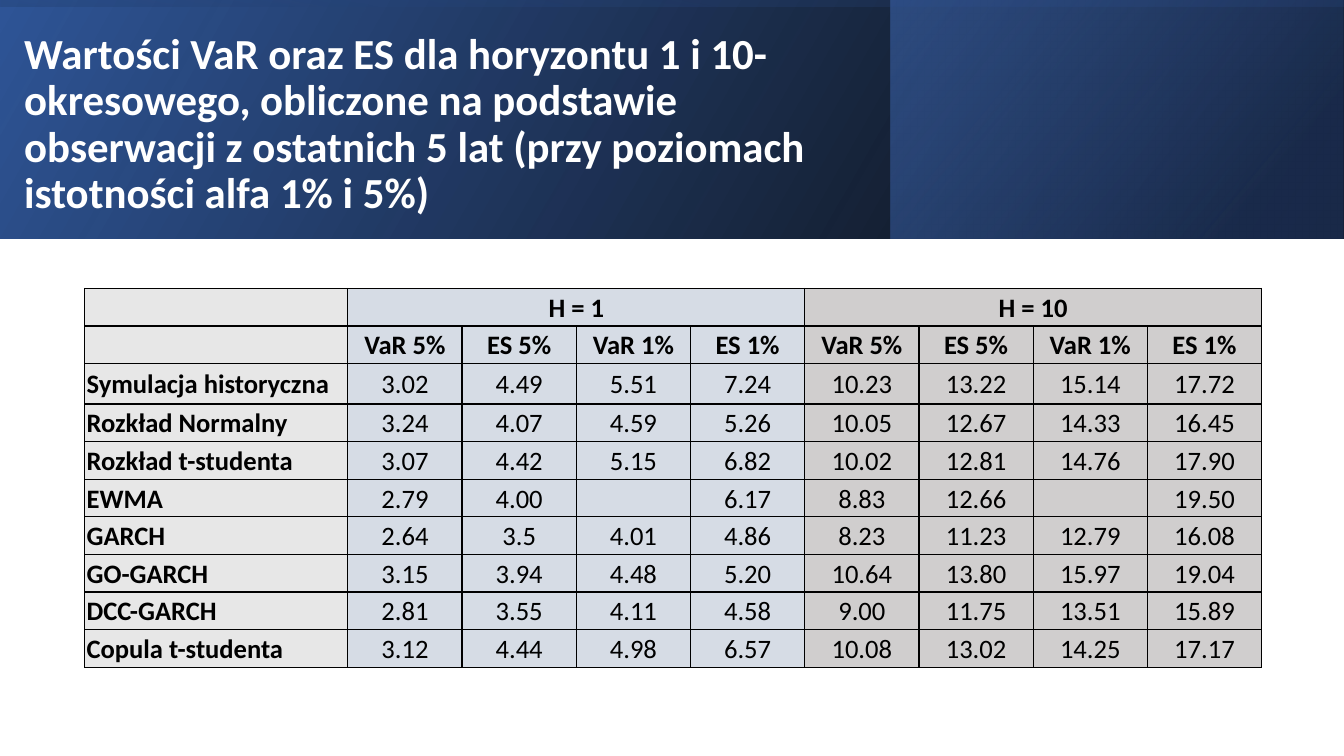
from lxml import etree
from pptx import Presentation
from pptx.dml.color import RGBColor
from pptx.enum.shapes import MSO_SHAPE
from pptx.enum.text import MSO_ANCHOR, MSO_AUTO_SIZE, PP_ALIGN
from pptx.oxml import parse_xml
from pptx.oxml.ns import nsdecls, qn
from pptx.util import Pt

RECTANGLE = MSO_SHAPE.RECTANGLE
MIDDLE = MSO_ANCHOR.MIDDLE
LEFT, CENTER = PP_ALIGN.LEFT, PP_ALIGN.CENTER
NO_AUTOFIT = MSO_AUTO_SIZE.NONE

WHITE = RGBColor(0xFF, 0xFF, 0xFF)
BLACK = RGBColor(0x00, 0x00, 0x00)
BLUE = RGBColor(0x2F, 0x55, 0x97)
BRIGHT_BLUE = RGBColor(0x44, 0x72, 0xC4)
NAVY = RGBColor(0x20, 0x38, 0x64)
LABEL_FILL = RGBColor(0xE7, 0xE7, 0xE7)
SHORT_FILL = RGBColor(0xD6, 0xDC, 0xE5)
LONG_FILL = RGBColor(0xD0, 0xCE, 0xCE)

SLIDE_WIDTH, SLIDE_HEIGHT, BAND_HEIGHT = 960, 540, 170.64
LABEL_WIDTH, VALUE_WIDTH = 188, 81.6
ROW_HEIGHT, TALL_ROW_HEIGHT, TALL_ROW = 26.9, 28.8, 2
HEADER_ROWS = 2

TITLE = ("Wartości VaR oraz ES dla horyzontu 1 i 10-okresowego, obliczone na podstawie "
         "obserwacji z ostatnich 5 lat (przy poziomach istotności alfa 1% i 5%)")
MEASURES = ["VaR 5%", "ES 5%", "VaR 1%", "ES 1%"]
RISK_ROWS = [
    ["", "H = 1", "", "", "", "H = 10", "", "", ""],
    ["", *MEASURES, *MEASURES],
    ["Symulacja historyczna", "3.02", "4.49", "5.51", "7.24", "10.23", "13.22", "15.14", "17.72"],
    ["Rozkład Normalny", "3.24", "4.07", "4.59", "5.26", "10.05", "12.67", "14.33", "16.45"],
    ["Rozkład t-studenta", "3.07", "4.42", "5.15", "6.82", "10.02", "12.81", "14.76", "17.90"],
    ["EWMA", "2.79", "4.00", "", "6.17", "8.83", "12.66", "", "19.50"],
    ["GARCH", "2.64", "3.5", "4.01", "4.86", "8.23", "11.23", "12.79", "16.08"],
    ["GO-GARCH", "3.15", "3.94", "4.48", "5.20", "10.64", "13.80", "15.97", "19.04"],
    ["DCC-GARCH", "2.81", "3.55", "4.11", "4.58", "9.00", "11.75", "13.51", "15.89"],
    ["Copula t-studenta", "3.12", "4.44", "4.98", "6.57", "10.08", "13.02", "14.25", "17.17"],
]
COLUMN_FILLS = [LABEL_FILL] + [SHORT_FILL] * 4 + [LONG_FILL] * 4


class SlideBuilder:
    font_name = "Calibri"
    title_size = 30.6
    table_size = 19
    border_width = 1

    def __init__(self, page):
        self.page = page

    def style_paragraph(self, para, size, color, bold, align):
        para.alignment = align
        para.font.name = self.font_name
        para.font.size = Pt(size)
        para.font.color.rgb = color
        para.font.bold = bold

    def band(self, left, top, width, height, stops, angle, rotation=0):
        """Add a mirrored gradient band; each stop is (position %, colour, opacity %)."""
        box = self.page.shapes.add_shape(RECTANGLE, Pt(left), Pt(top), Pt(width), Pt(height))
        box.shadow.inherit = False
        box.line.fill.background()
        box.rotation = rotation
        properties = box.element.spPr
        properties.find(qn("a:xfrm")).set("flipH", "1")
        stop_xml = "".join(
            f'<a:gs pos="{position * 1000}"><a:srgbClr val="{color}">'
            f'<a:alpha val="{opacity * 1000}"/></a:srgbClr></a:gs>'
            for position, color, opacity in stops)
        gradient = parse_xml(
            f'<a:gradFill {nsdecls("a")} rotWithShape="1"><a:gsLst>{stop_xml}</a:gsLst>'
            f'<a:lin ang="{angle * 60000}" scaled="0"/></a:gradFill>')
        properties.find(qn("a:prstGeom")).addnext(gradient)

    def title(self, text, left, top, width, height):
        box = self.page.shapes.title
        box.left, box.top, box.width, box.height = Pt(left), Pt(top), Pt(width), Pt(height)
        frame = box.text_frame
        frame.text = text
        frame.auto_size = NO_AUTOFIT
        frame.word_wrap = True
        frame.vertical_anchor = MIDDLE
        para = frame.paragraphs[0]
        para.line_spacing = 0.9
        self.style_paragraph(para, self.title_size, WHITE, True, LEFT)
        # Bring the title in front of the bands
        box.element.getparent().append(box.element)

    def border(self, cell):
        properties = cell._tc.get_or_add_tcPr()
        for index, side in enumerate(("lnL", "lnR", "lnT", "lnB")):
            line = etree.Element(qn(f"a:{side}"), w=str(Pt(self.border_width)))
            fill = etree.SubElement(line, qn("a:solidFill"))
            etree.SubElement(fill, qn("a:srgbClr"), val=str(BLACK))
            properties.insert(index, line)

    def cell(self, cell, text, fill, bold, align):
        cell.text = text
        cell.vertical_anchor = MIDDLE
        cell.margin_left = cell.margin_top = cell.margin_right = Pt(1.44)
        cell.margin_bottom = 0
        cell.fill.solid()
        cell.fill.fore_color.rgb = fill
        self.style_paragraph(cell.text_frame.paragraphs[0], self.table_size, BLACK, bold, align)
        self.border(cell)

    def table(self, rows, left, top, widths, heights):
        table = self.page.shapes.add_table(
            len(rows), len(widths), Pt(left), Pt(top), Pt(sum(widths)), Pt(sum(heights))).table
        table.first_row = table.horz_banding = False
        for column, width in zip(table.columns, widths):
            column.width = Pt(width)
        for row, height in zip(table.rows, heights):
            row.height = Pt(height)
        for row_index, texts in enumerate(rows):
            for column_index, text in enumerate(texts):
                is_label = column_index == 0
                self.cell(table.cell(row_index, column_index), text, COLUMN_FILLS[column_index],
                          is_label or row_index < HEADER_ROWS, LEFT if is_label else CENTER)
        return table


def main():
    deck = Presentation()
    deck.slide_width, deck.slide_height = Pt(SLIDE_WIDTH), Pt(SLIDE_HEIGHT)
    builder = SlideBuilder(deck.slides.add_slide(deck.slide_layouts[5]))

    builder.band(0, 0, SLIDE_WIDTH, BAND_HEIGHT, [(0, BLACK, 96), (100, BLUE, 100)], 330)
    builder.band(636.5, 0, 322.8, BAND_HEIGHT, [(19, NAVY, 68), (100, BRIGHT_BLUE, 48)], 320)
    # Turned a quarter, this upright band covers the whole header
    offset = (SLIDE_WIDTH - BAND_HEIGHT) / 2
    builder.band(offset, -offset, BAND_HEIGHT, SLIDE_WIDTH,
                 [(23, BLUE, 16), (99, BLACK, 45)], 350, rotation=270)
    builder.title(TITLE, 10.1, 27.4, 608.4, 123.8)

    heights = [ROW_HEIGHT] * len(RISK_ROWS)
    heights[TALL_ROW] = TALL_ROW_HEIGHT
    widths = [LABEL_WIDTH] + [VALUE_WIDTH] * 8
    table = builder.table(RISK_ROWS, 60.5, 206, widths, heights)
    for first in (1, 5):
        table.cell(0, first).merge(table.cell(0, first + 3))

    deck.save("out.pptx")


if __name__ == "__main__":
    main()
